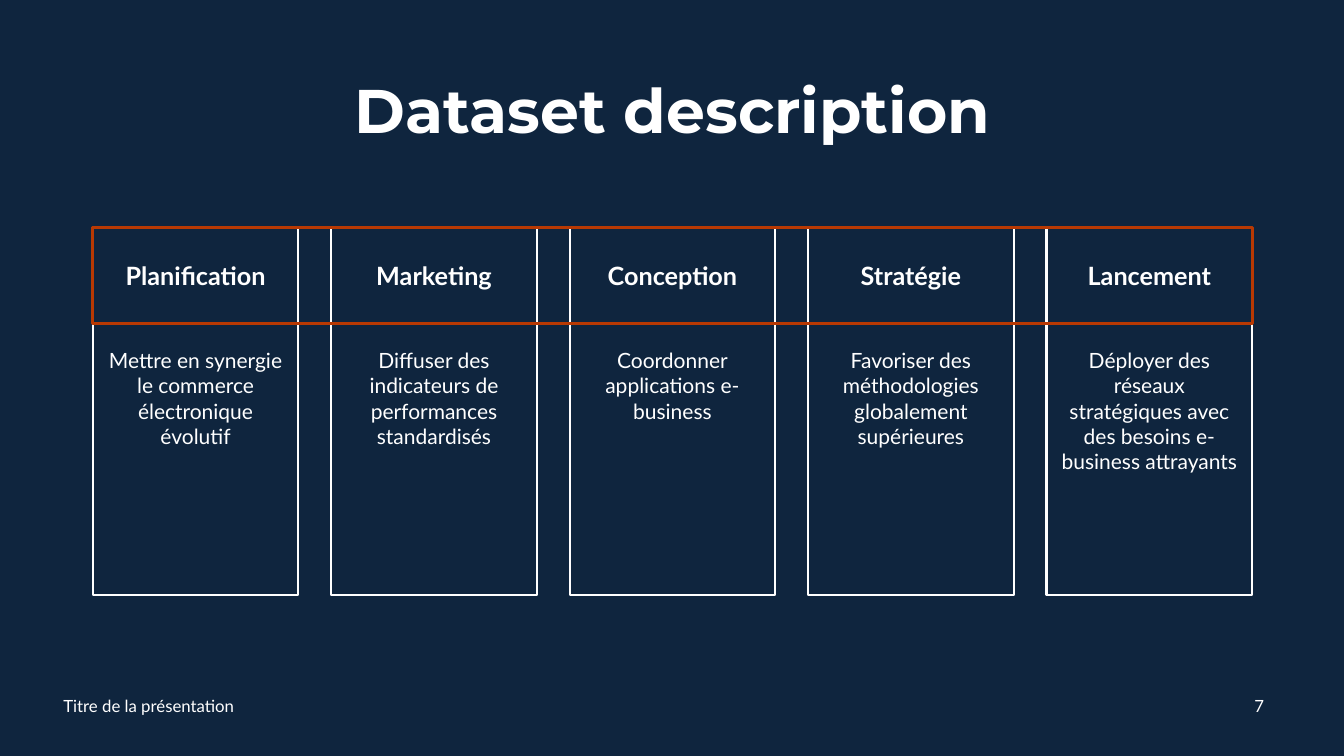
from pptx import Presentation
from pptx.dml.color import RGBColor as RGB
from pptx.enum.shapes import MSO_SHAPE as Shape
from pptx.enum.text import MSO_ANCHOR as Anchor, PP_ALIGN as Align
from pptx.util import Inches, Pt

NAVY = RGB(0x0F, 0x25, 0x3E)
WHITE = RGB(0xFF, 0xFF, 0xFF)
RUST = RGB(0xB8, 0x39, 0x03)

LEFT, WIDTH = 0.92, 11.5
CARD = 2.04
TOP, HEAD, BODY = 2.26, 0.95, 2.69
FOOT, FOOT_H = 6.8, 0.4

STEPS = [
    ("Planification", "Mettre en synergie le commerce\nélectronique évolutif"),
    ("Marketing", "Diffuser des indicateurs de performances standardisés"),
    ("Conception", "Coordonner\napplications e-business"),
    ("Stratégie", "Favoriser des méthodologies globalement supérieures"),
    ("Lancement", "Déployer des réseaux stratégiques avec\n"
                  "des besoins e-business attrayants"),
]
STEP = (WIDTH - CARD) / (len(STEPS) - 1)


def write(shape, text, size, bold=False, face="Lato", align=Align.CENTER,
          anchor=Anchor.MIDDLE):
    frame = shape.text_frame
    frame.text = text
    frame.word_wrap = True
    frame.vertical_anchor = anchor
    for para in frame.paragraphs:
        para.alignment = align
        for run in para.runs:
            font = run.font
            font.name, font.size, font.bold = face, Pt(size), bold
            font.color.rgb = WHITE


def add_frame(slide, box, color, weight):
    """Add an unfilled outlined rectangle."""
    rect = slide.shapes.add_shape(Shape.RECTANGLE, *map(Inches, box))
    rect.shadow.inherit = False
    rect.fill.background()
    rect.line.color.rgb = color
    rect.line.width = Pt(weight)
    return rect


def add_title(slide, text):
    title = slide.shapes.title
    title.left, title.top = Inches(LEFT), Inches(0.4)
    title.width, title.height = Inches(WIDTH), Inches(1.45)
    write(title, text, 44, True, "Montserrat")
    title.text_frame.paragraphs[0].line_spacing = 0.9


def add_card(slide, col, name, text):
    left = LEFT + col * STEP
    head = add_frame(slide, (left, TOP, CARD, HEAD), WHITE, 1.5)
    write(head, name, 18, True)
    body = add_frame(slide, (left, TOP + HEAD, CARD, BODY), WHITE, 1.5)
    write(body, text, 15, anchor=Anchor.TOP)
    body.text_frame.margin_top = Inches(0.24)


def add_foot(slide, left, width, text, align):
    box = slide.shapes.add_textbox(*map(Inches, (left, FOOT, width, FOOT_H)))
    write(box, text, 12, align=align)


def main():
    deck = Presentation()
    deck.slide_width, deck.slide_height = Inches(13.33), Inches(7.5)
    slide = deck.slides.add_slide(deck.slide_layouts[5])
    fill = slide.background.fill
    fill.solid()
    fill.fore_color.rgb = NAVY

    add_title(slide, "Dataset description")
    for col, (name, text) in enumerate(STEPS):
        add_card(slide, col, name, text)
    add_foot(slide, 0.53, 4.5, "Titre de la présentation", Align.LEFT)
    add_foot(slide, 12.24, 0.5, "7", Align.CENTER)
    add_frame(slide, (LEFT, TOP, WIDTH, HEAD), RUST, 2.25)
    deck.save("out.pptx")


if __name__ == "__main__":
    main()
